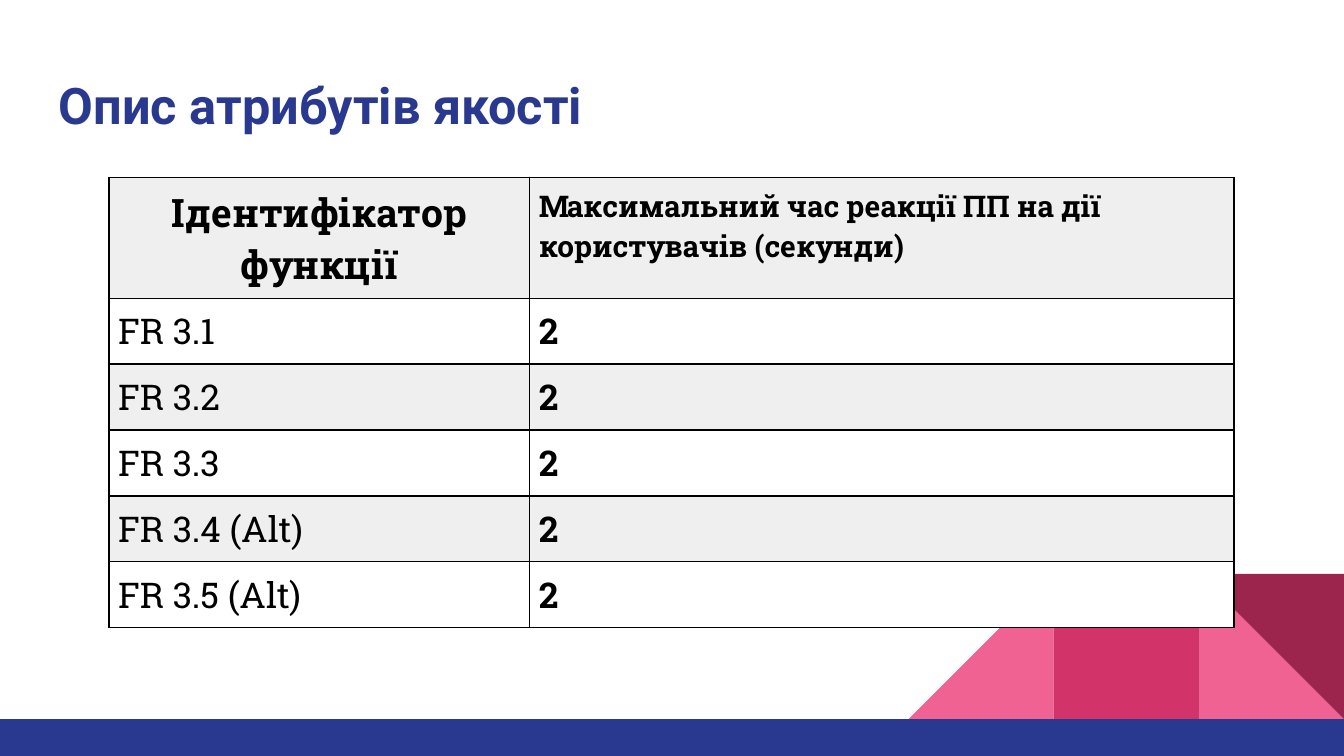
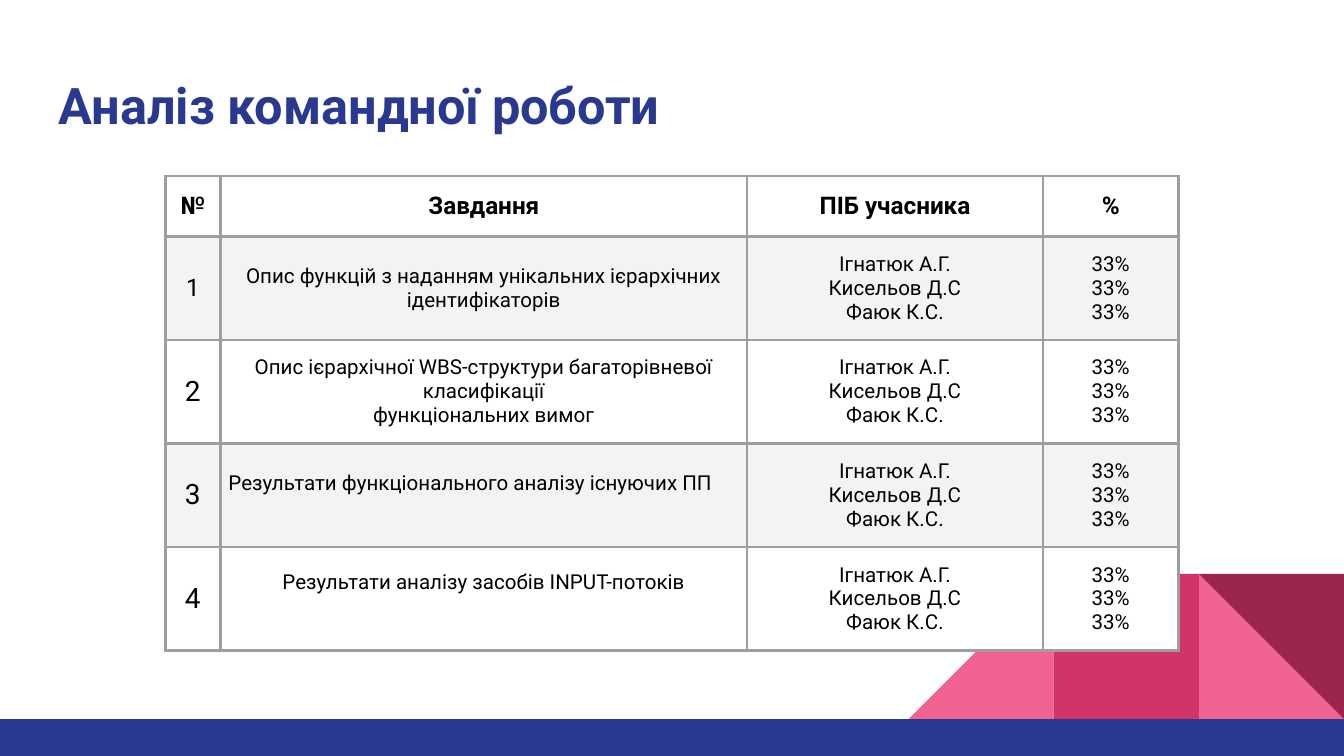
from dataclasses import dataclass

from lxml import etree
from pptx import Presentation
from pptx.dml.color import RGBColor
from pptx.enum.shapes import MSO_SHAPE as Shape
from pptx.enum.text import MSO_ANCHOR as Anchor, PP_ALIGN as Align
from pptx.oxml.ns import qn
from pptx.util import Inches, Pt

COLORS = {
    "navy": "2A3990", "pink": "F06292", "rose": "D23369", "wine": "9C254D",
    "white": "FFFFFF", "black": "000000", "silver": "EFEFEF",
    "mist": "F3F3F3", "gray": "9E9E9E",
}
TITLE_FONT = "Roboto"


@dataclass(frozen=True)
class Block:
    shape: Shape
    left: float
    top: float
    width: float
    height: float
    color: str
    rotation: int = 0


@dataclass(frozen=True)
class CellText:
    text: str
    size: int
    bold: bool = False
    align: Align = Align.CENTER
    extra_bottom: float = 0  # lifts the text above the middle of the cell


@dataclass(frozen=True)
class TableStyle:
    font: str
    border: str
    border_pt: float
    band: str
    band_start: int  # 0 when the header row is shaded, 1 when the next one is
    margin_x: float
    margin_y: float
    anchor: Anchor


# Corner decoration and footer band
SIDE = 1.08
CORNER_TOP = 4.27
DECOR = [
    Block(Shape.RIGHT_TRIANGLE, 8.92, CORNER_TOP, SIDE, SIDE, "pink"),
    Block(Shape.RIGHT_TRIANGLE, 6.76, CORNER_TOP, SIDE, SIDE, "pink", 270),
    Block(Shape.RECTANGLE, 7.84, CORNER_TOP, SIDE, SIDE, "rose"),
    Block(Shape.RIGHT_TRIANGLE, 8.92, CORNER_TOP, SIDE, SIDE, "wine", 180),
    Block(Shape.RECTANGLE, 0, 5.35, 10, 0.28, "navy"),
]

QUALITY_STYLE = TableStyle("Roboto Slab", "black", 1, "silver", 0, 0.07, 0.07, Anchor.TOP)
TEAM_STYLE = TableStyle("Roboto", "gray", 1.5, "mist", 1, 0.06, 0.11, Anchor.MIDDLE)

FUNCTIONS = ["FR 3.1", "FR 3.2", "FR 3.3", "FR 3.4 (Alt)", "FR 3.5 (Alt)"]
MAX_SECONDS = "2"

TEAM = ["Ігнатюк А.Г.", "Кисельов Д.С", "Фаюк К.С."]
SHARE = "33%"
TASKS = [
    CellText("Опис функцій з наданням унікальних ієрархічних ідентифікаторів", 11),
    CellText("Опис ієрархічної WBS-структури багаторівневої класифікації\n"
             "функціональних вимог", 11),
    CellText("Результати функціонального аналізу існуючих ПП", 11,
             align=Align.LEFT, extra_bottom=0.18),
    CellText("Результати аналізу засобів INPUT-потоків", 11, extra_bottom=0.25),
]


def rgb(name: str) -> RGBColor:
    return RGBColor.from_string(COLORS[name])


def add_block(slide, block: Block) -> None:
    sp = slide.shapes.add_shape(block.shape, Inches(block.left), Inches(block.top),
                                Inches(block.width), Inches(block.height))
    sp.shadow.inherit = False
    sp.fill.solid()
    sp.fill.fore_color.rgb = rgb(block.color)
    sp.line.fill.background()
    sp.rotation = block.rotation


def add_base_slide(prs, title: str):
    """Add a slide with the shared decoration and title."""
    slide = prs.slides.add_slide(prs.slide_layouts[6])
    for block in DECOR:
        add_block(slide, block)
    box = slide.shapes.add_textbox(Inches(0.34), Inches(0.45), Inches(9.32), Inches(0.66))
    tf = box.text_frame
    tf.word_wrap = True
    tf.vertical_anchor = Anchor.MIDDLE
    tf.margin_left = tf.margin_right = tf.margin_top = tf.margin_bottom = Inches(0.1)
    p = tf.paragraphs[0]
    p.text = title
    set_font(p, TITLE_FONT, 27, True, "navy")
    return slide


def set_font(p, name: str, size: int, bold: bool, color: str) -> None:
    p.font.name = name
    p.font.size = Pt(size)
    p.font.bold = bold
    p.font.color.rgb = rgb(color)


def set_borders(cell, color: str, width: float) -> None:
    tc_pr = cell._tc.get_or_add_tcPr()
    for i, side in enumerate(("lnL", "lnR", "lnT", "lnB")):
        ln = etree.Element(qn(f"a:{side}"), w=str(Pt(width)))
        fill = etree.SubElement(ln, qn("a:solidFill"))
        etree.SubElement(fill, qn("a:srgbClr"), val=COLORS[color])
        tc_pr.insert(i, ln)


def fill_cell(cell, content: CellText, style: TableStyle, fill: str) -> None:
    cell.fill.solid()
    cell.fill.fore_color.rgb = rgb(fill)
    set_borders(cell, style.border, style.border_pt)
    cell.margin_left = cell.margin_right = Inches(style.margin_x)
    cell.margin_top = Inches(style.margin_y)
    cell.margin_bottom = Inches(style.margin_y + content.extra_bottom)
    cell.vertical_anchor = style.anchor
    cell.text_frame.text = content.text
    for p in cell.text_frame.paragraphs:
        p.alignment = content.align
        set_font(p, style.font, content.size, content.bold, "black")


def add_grid(slide, left: float, top: float, widths: list[float], heights: list[float],
             rows: list[list[CellText]], style: TableStyle) -> None:
    frame = slide.shapes.add_table(len(rows), len(widths), Inches(left), Inches(top),
                                   Inches(sum(widths)), Inches(sum(heights)))
    table = frame.table
    table.first_row = table.horz_banding = False
    for column, width in zip(table.columns, widths):
        column.width = Inches(width)
    for i, (row, height) in enumerate(zip(rows, heights)):
        table.rows[i].height = Inches(height)
        fill = style.band if i % 2 == style.band_start else "white"
        for j, content in enumerate(row):
            fill_cell(table.cell(i, j), content, style, fill)


def quality_slide(prs) -> None:
    slide = add_base_slide(prs, "Опис атрибутів якості")
    header = [
        CellText("Ідентифікатор\nфункції", 21, True),
        CellText("Максимальний час реакції ПП на дії\nкористувачів (секунди)",
                 16, True, Align.LEFT),
    ]
    rows = [[CellText(name, 19, align=Align.LEFT),
             CellText(MAX_SECONDS, 19, True, Align.LEFT)] for name in FUNCTIONS]
    add_grid(slide, 0.81, 1.32, [3.13, 5.24], [0.9] + [0.49] * len(rows),
             [header] + rows, QUALITY_STYLE)


def team_slide(prs) -> None:
    slide = add_base_slide(prs, "Аналіз командної роботи")
    header = [CellText(text, 13, True) for text in ("№", "Завдання", "ПІБ учасника", "%")]
    members = CellText("\n".join(TEAM), 11)
    shares = CellText("\n".join([SHARE] * len(TEAM)), 11)
    rows = [[CellText(str(n), 13 if n == 1 else 15), task, members, shares]
            for n, task in enumerate(TASKS, 1)]
    add_grid(slide, 1.23, 1.31, [0.41, 3.92, 2.2, 1.01], [0.45] + [0.77] * len(rows),
             [header] + rows, TEAM_STYLE)


def main() -> None:
    prs = Presentation()
    prs.slide_width = Inches(10)
    prs.slide_height = Inches(10) * 9 // 16  # widescreen
    quality_slide(prs)
    team_slide(prs)
    prs.save("out.pptx")


if __name__ == "__main__":
    main()
